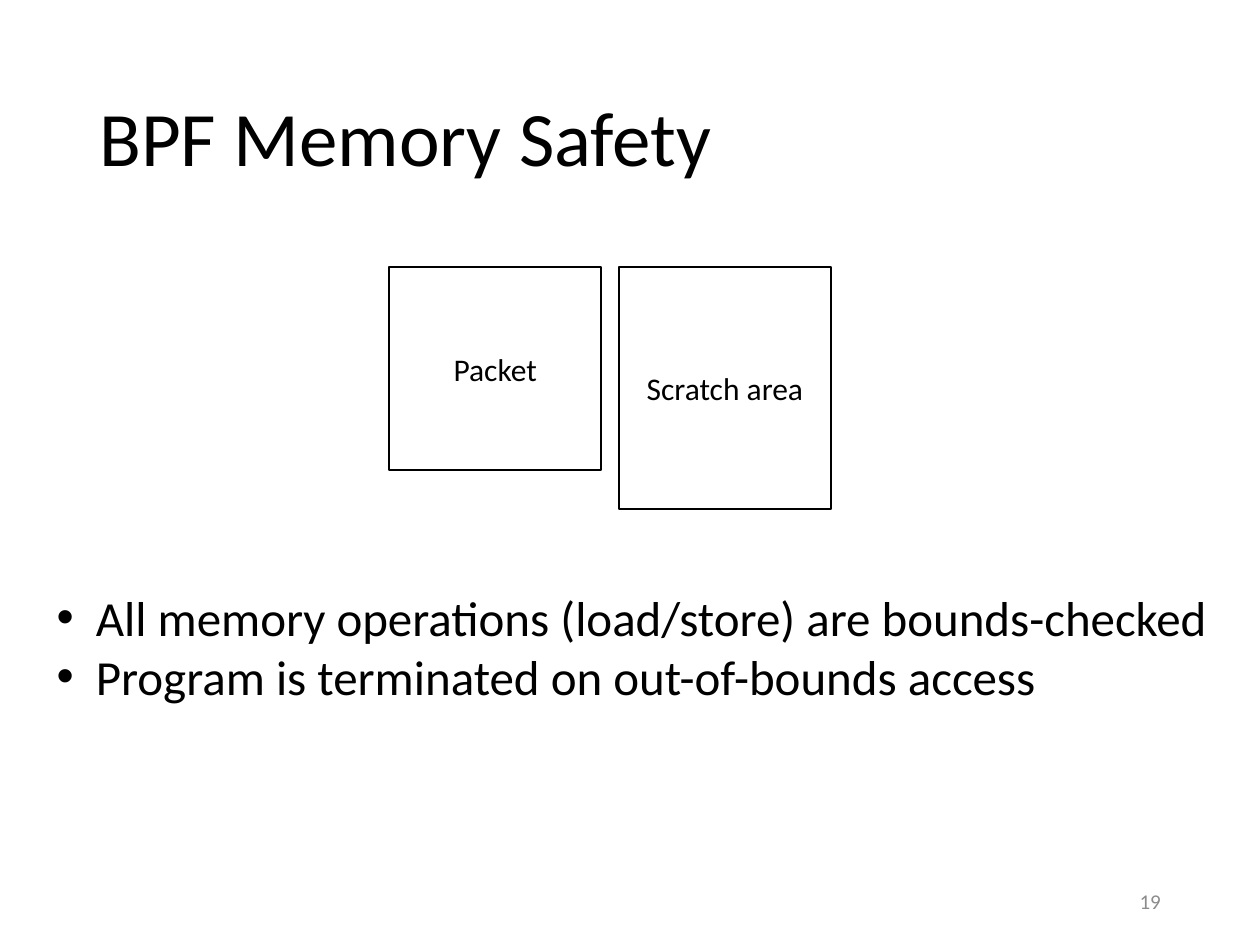
from lxml import etree
from pptx import Presentation
from pptx.dml.color import RGBColor
from pptx.enum import shapes, text
from pptx.oxml import ns
from pptx.util import Cm, Pt

COLORS = {"ink": "000000", "paper": "FFFFFF", "muted": "8C8C8C"}


class SlideBuilder:
    """Holds the style and the slide being built."""

    font = "Calibri"

    def __init__(self, slide):
        self.slide = slide

    def place(self, shape, left, top, width, height):
        shape.left, shape.top = Cm(left), Cm(top)
        shape.width, shape.height = Cm(width), Cm(height)

    def add_words(self, paragraph, words, size, align, color="ink"):
        paragraph.alignment = align
        run = paragraph.add_run()
        run.text = words
        run.font.name = self.font
        run.font.size = Pt(size)
        run.font.color.rgb = RGBColor.from_string(COLORS[color])

    def title(self, words, *box):
        shape = self.slide.shapes.title
        self.place(shape, *box)
        frame = shape.text_frame
        frame.vertical_anchor = text.MSO_ANCHOR.MIDDLE
        paragraph = frame.paragraphs[0]
        paragraph.line_spacing = 0.9
        self.add_words(paragraph, words, 44, text.PP_ALIGN.LEFT)

    def memory_block(self, words, *box):
        shape = self.slide.shapes.add_shape(
            shapes.MSO_SHAPE.RECTANGLE, *map(Cm, box))
        shape.shadow.inherit = False
        shape.fill.solid()
        shape.fill.fore_color.rgb = RGBColor.from_string(COLORS["paper"])
        shape.line.color.rgb = RGBColor.from_string(COLORS["ink"])
        shape.line.width = Pt(1)
        frame = shape.text_frame
        frame.vertical_anchor = text.MSO_ANCHOR.MIDDLE
        self.add_words(frame.paragraphs[0], words, 18, text.PP_ALIGN.CENTER)

    def bullets(self, items, *box):
        shape = self.slide.placeholders[1]
        self.place(shape, *box)
        frame = shape.text_frame
        frame.word_wrap = False
        frame.auto_size = text.MSO_AUTO_SIZE.SHAPE_TO_FIT_TEXT
        indent = Cm(0.79)
        for index, item in enumerate(items):
            paragraph = frame.add_paragraph() if index else frame.paragraphs[0]
            properties = paragraph._p.get_or_add_pPr()
            properties.set("marL", str(indent))
            properties.set("indent", str(-indent))
            etree.SubElement(properties, ns.qn("a:buFont"), typeface="Arial")
            etree.SubElement(properties, ns.qn("a:buChar"), char="•")
            paragraph.space_before = Pt(0)
            self.add_words(paragraph, item, 28, text.PP_ALIGN.LEFT)

    def page_number(self, number, *box):
        frame = self.slide.shapes.add_textbox(*map(Cm, box)).text_frame
        frame.word_wrap = True
        frame.vertical_anchor = text.MSO_ANCHOR.MIDDLE
        self.add_words(
            frame.paragraphs[0], number, 12, text.PP_ALIGN.RIGHT, "muted")


def main():
    presentation = Presentation()
    presentation.slide_width, presentation.slide_height = Cm(25.4), Cm(19.05)
    slide = presentation.slides.add_slide(presentation.slide_layouts[1])
    builder = SlideBuilder(slide)

    # Heading
    builder.title("BPF Memory Safety", 1.75, 1.02, 21.9, 3.68)

    # Memory regions, side by side with aligned tops
    left, top, width, gap = 7.85, 5.38, 4.27, 0.36
    regions = [("Packet", 4.1), ("Scratch area", 4.88)]
    for column, (name, height) in enumerate(regions):
        builder.memory_block(
            name, left + column * (width + gap), top, width, height)

    # Safety rules
    builder.bullets([
        "All memory operations (load/store) are bounds-checked",
        "Program is terminated on out-of-bounds access",
    ], 0.89, 11.71, 23.98, 2.64)

    # Footer
    builder.page_number("19", 17.93, 17.65, 5.72, 1.02)

    presentation.save("out.pptx")


if __name__ == "__main__":
    main()
